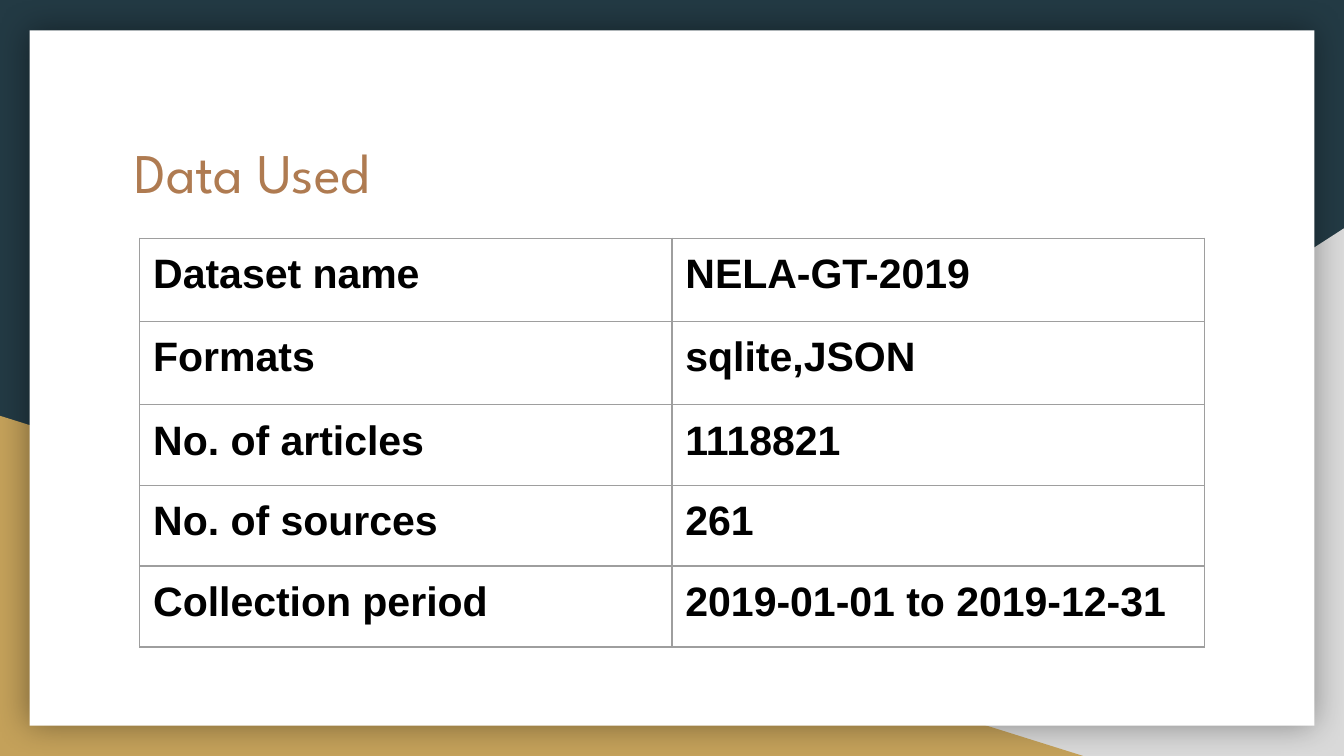
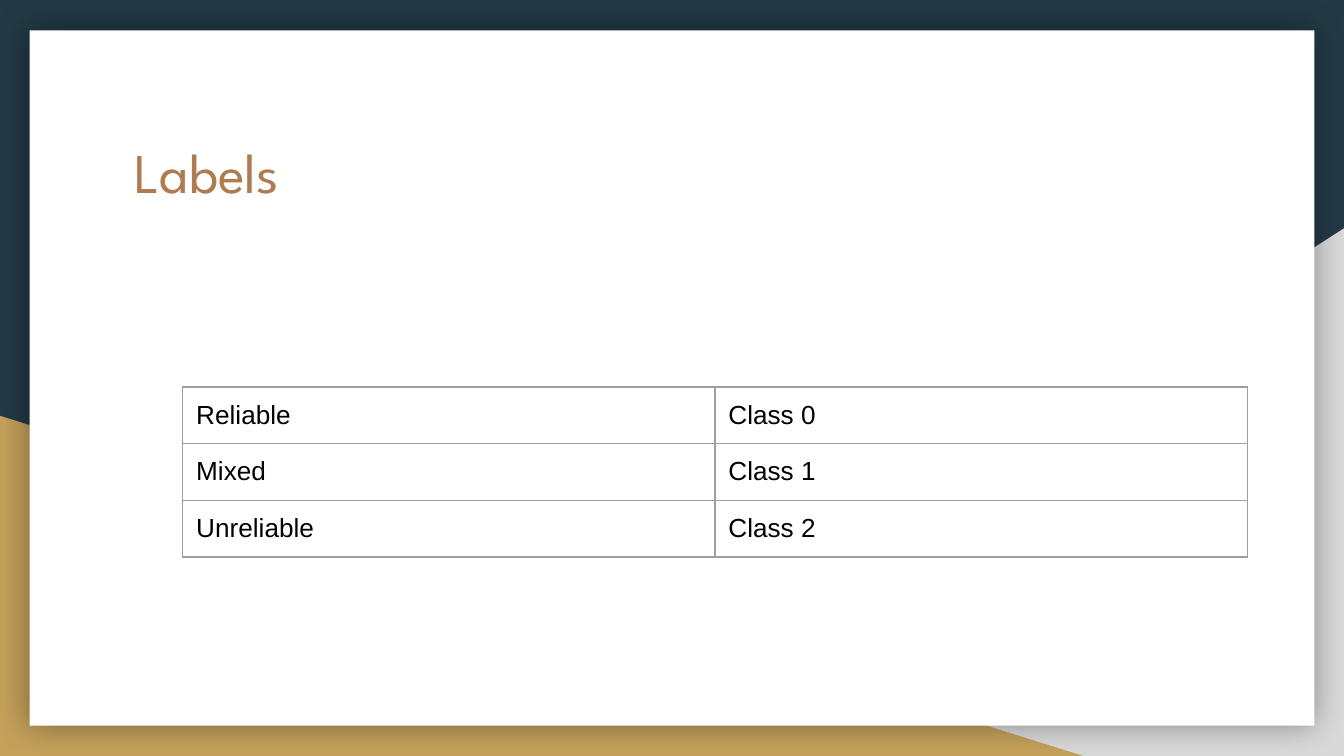
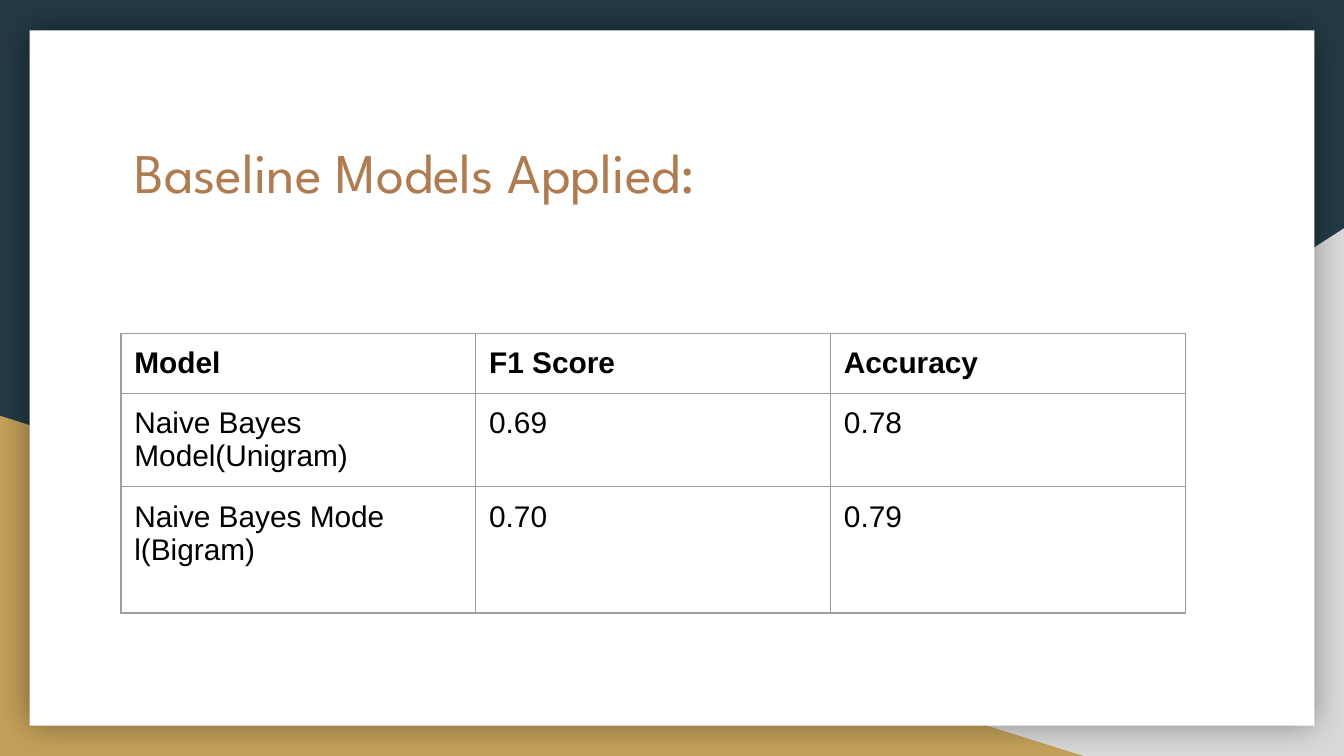
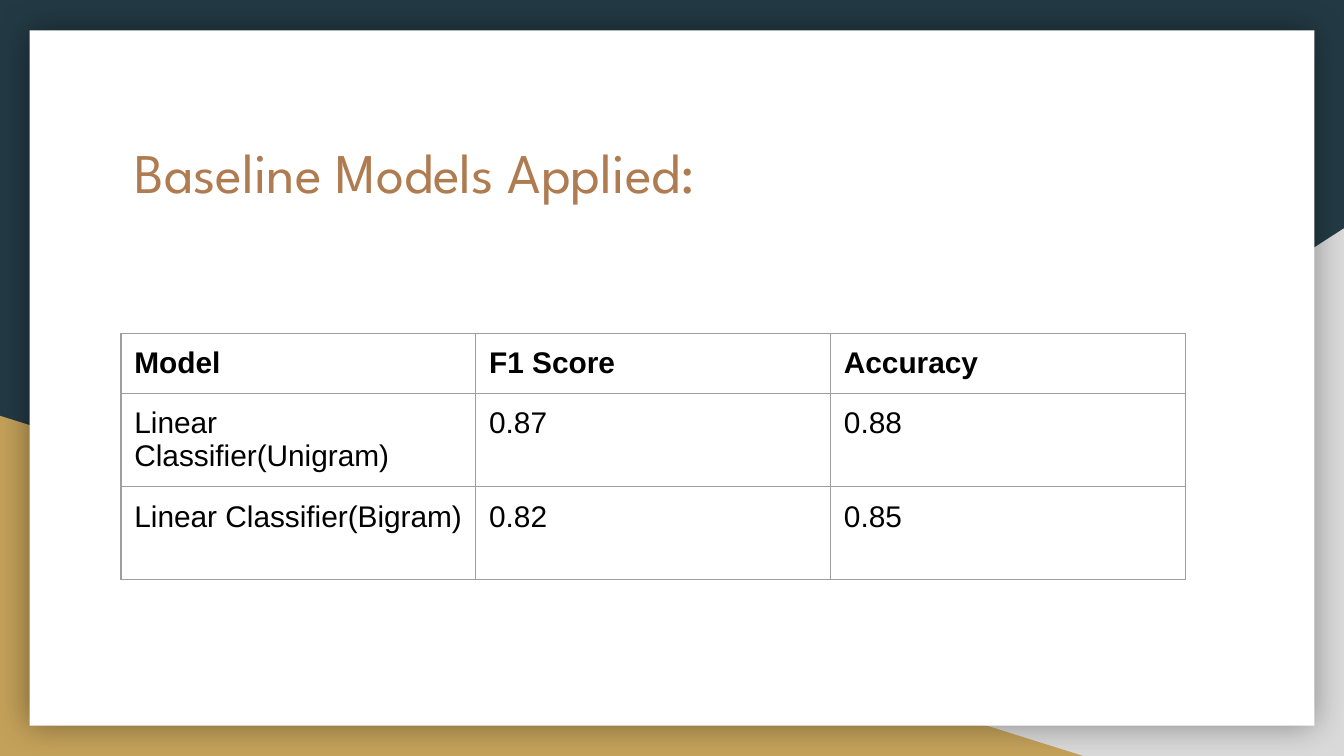
from dataclasses import dataclass

from lxml.etree import SubElement
from pptx import Presentation
from pptx.dml.color import RGBColor
from pptx.enum.shapes import MSO_SHAPE
from pptx.enum.text import MSO_ANCHOR, MSO_AUTO_SIZE, PP_ALIGN
from pptx.oxml.ns import qn
from pptx.util import Inches, Pt

WIDTH, HEIGHT = Inches(10), Inches(5.625)
TABLE_WIDTH = 79.2


@dataclass(frozen=True)
class Theme:
    """Colours, fonts and type sizes of the deck."""
    night: str = "233A44"
    sand: str = "C4A15A"
    mist: str = "D9D9D9"
    card: str = "FFFFFF"
    title: str = "AF7B51"
    ink: str = "000000"
    rule: str = "9E9E9E"
    title_font: str = "League Spartan"
    body_font: str = "Arial"
    title_size: int = 30
    fact_size: int = 22
    score_size: int = 16
    label_size: int = 14
    rule_width: float = 0.75


THEME = Theme()


def across(share):
    """Turn a percentage of the slide width into a length."""
    return round(WIDTH * share / 100)


def down(share):
    """Turn a percentage of the slide height into a length."""
    return round(HEIGHT * share / 100)


def area(left, top, width, height):
    """Turn percentages of the slide into a position and a size."""
    return across(left), down(top), across(width), down(height)


def format_text(frame, font, size, color, bold=False):
    """Give every run of a text frame the same look."""
    for para in frame.paragraphs:
        para.alignment = PP_ALIGN.LEFT
        for span in para.runs:
            span.font.name = font
            span.font.size = Pt(size)
            span.font.bold = bold
            span.font.color.rgb = RGBColor.from_string(color)


def add_panel(page, kind, place, color):
    """Add a plain filled shape without outline or shadow."""
    panel = page.shapes.add_shape(kind, *area(*place))
    panel.shadow.inherit = False
    panel.fill.solid()
    panel.fill.fore_color.rgb = RGBColor.from_string(color)
    panel.line.fill.background()
    return panel


def add_glow(panel, blur, opacity):
    """Add a soft black shadow on all sides of a shape."""
    effects = panel.element.spPr.find(qn("a:effectLst"))
    shadow = SubElement(effects, qn("a:outerShdw"), blurRad=str(Pt(blur)),
                        dist="0", dir="0", algn="ctr", rotWithShape="0")
    color = SubElement(shadow, qn("a:srgbClr"), val="000000")
    SubElement(color, qn("a:alpha"), val=str(opacity * 1000))


def build_backdrop(layout, page):
    """Draw the triangles and the card, and move them to the shared layout."""
    layout.background.fill.solid()
    layout.background.fill.fore_color.rgb = RGBColor.from_string(THEME.night)
    for holder in list(layout.placeholders)[1:]:
        layout.shapes.element.remove(holder.element)

    triangle = MSO_SHAPE.RIGHT_TRIANGLE
    right = add_panel(page, triangle, (39.2, 30.2, 60.8, 69.8), THEME.mist)
    right.element.spPr.find(qn("a:xfrm")).set("flipH", "1")
    left = add_panel(page, triangle, (0, 55, 80.6, 45), THEME.sand)
    card = add_panel(page, MSO_SHAPE.RECTANGLE, (2.2, 4, 95.6, 92), THEME.card)
    add_glow(card, blur=18, opacity=40)
    for index, panel in enumerate((right, left, card), start=2):
        layout.shapes.element.insert(index, panel.element)


def set_title(page, text):
    """Place and format the title placeholder."""
    box = page.shapes.title
    box.left, box.top, box.width, box.height = area(9, 16.4, 82.1, 18.5)
    frame = box.text_frame
    frame.text = text
    frame.word_wrap = True
    frame.auto_size = MSO_AUTO_SIZE.NONE
    frame.vertical_anchor = MSO_ANCHOR.TOP
    frame.margin_left = frame.margin_right = Inches(0.1)
    frame.margin_top = frame.margin_bottom = Inches(0.1)
    format_text(frame, THEME.title_font, THEME.title_size, THEME.title)


def set_borders(cell):
    """Draw a thin rule on the four sides of a cell."""
    properties = cell._tc.get_or_add_tcPr()
    for index, side in enumerate(("a:lnL", "a:lnR", "a:lnT", "a:lnB")):
        line = SubElement(properties, qn(side), w=str(Pt(THEME.rule_width)))
        fill = SubElement(line, qn("a:solidFill"))
        SubElement(fill, qn("a:srgbClr"), val=THEME.rule)
        properties.insert(index, line)


def add_grid(page, left, top, row_heights, rows, size, bold_rows=0):
    """Add a ruled table of equal columns; the first bold_rows are bold."""
    columns = len(rows[0])
    place = area(left, top, TABLE_WIDTH, sum(row_heights))
    table = page.shapes.add_table(len(rows), columns, *place).table
    table.first_row = table.horz_banding = False
    for column in table.columns:
        column.width = across(TABLE_WIDTH / columns)
    for number, (height, texts) in enumerate(zip(row_heights, rows)):
        table.rows[number].height = down(height)
        for cell, text in zip(table.rows[number].cells, texts):
            cell.text = text
            cell.fill.background()
            cell.vertical_anchor = MSO_ANCHOR.TOP
            cell.margin_left = cell.margin_right = Inches(0.1)
            cell.margin_top = cell.margin_bottom = Inches(0.1)
            format_text(cell.text_frame, THEME.body_font, size, THEME.ink,
                        number < bold_rows)
            set_borders(cell)


def add_scores(page, last_height, models):
    """Add the table of model scores under its bold heading row."""
    rows = [("Model", "F1 Score", "Accuracy"), *models]
    add_grid(page, 9, 44.1, (7.94, 12.3, last_height), rows,
             THEME.score_size, bold_rows=1)


def main():
    """Build the four slides and save the deck."""
    deck = Presentation()
    deck.slide_width, deck.slide_height = WIDTH, HEIGHT
    layout = deck.slide_layouts.get_by_name("Title Only")
    titles = ("Data Used", "Labels",
              "Baseline Models Applied:", "Baseline Models Applied:")
    pages = [deck.slides.add_slide(layout) for _ in titles]
    build_backdrop(layout, pages[0])
    for page, title in zip(pages, titles):
        set_title(page, title)
    data, labels, bayes, linear = pages

    facts = [
        ("Dataset name", "NELA-GT-2019"),
        ("Formats", "sqlite,JSON"),
        ("No. of articles", "1118821"),
        ("No. of sources", "261"),
        ("Collection period", "2019-01-01 to 2019-12-31"),
    ]
    add_grid(data, 10.4, 31.5, (11, 11, 10.7, 10.7, 10.7), facts,
             THEME.fact_size, bold_rows=len(facts))

    classes = [(name, f"Class {number}") for number, name
               in enumerate(("Reliable", "Mixed", "Unreliable"))]
    add_grid(labels, 13.6, 51.2, (7.5,) * 3, classes, THEME.label_size)

    add_scores(bayes, 16.7, [
        ("Naive Bayes Model(Unigram)", "0.69", "0.78"),
        ("Naive Bayes Mode\nl(Bigram)", "0.70", "0.79"),
    ])
    add_scores(linear, 12.3, [
        ("Linear Classifier(Unigram)", "0.87", "0.88"),
        ("Linear Classifier(Bigram)", "0.82", "0.85"),
    ])
    deck.save("out.pptx")


main()
